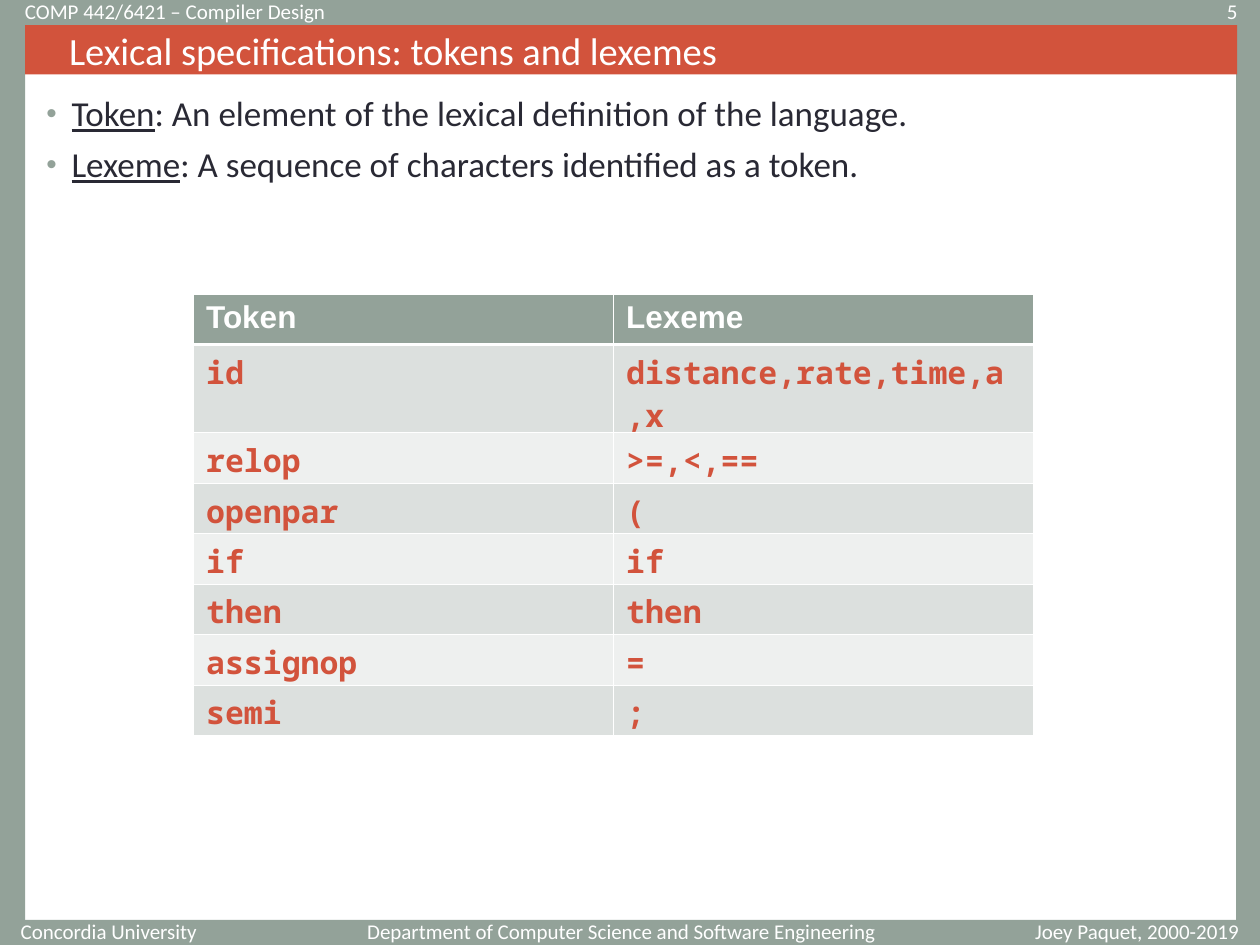
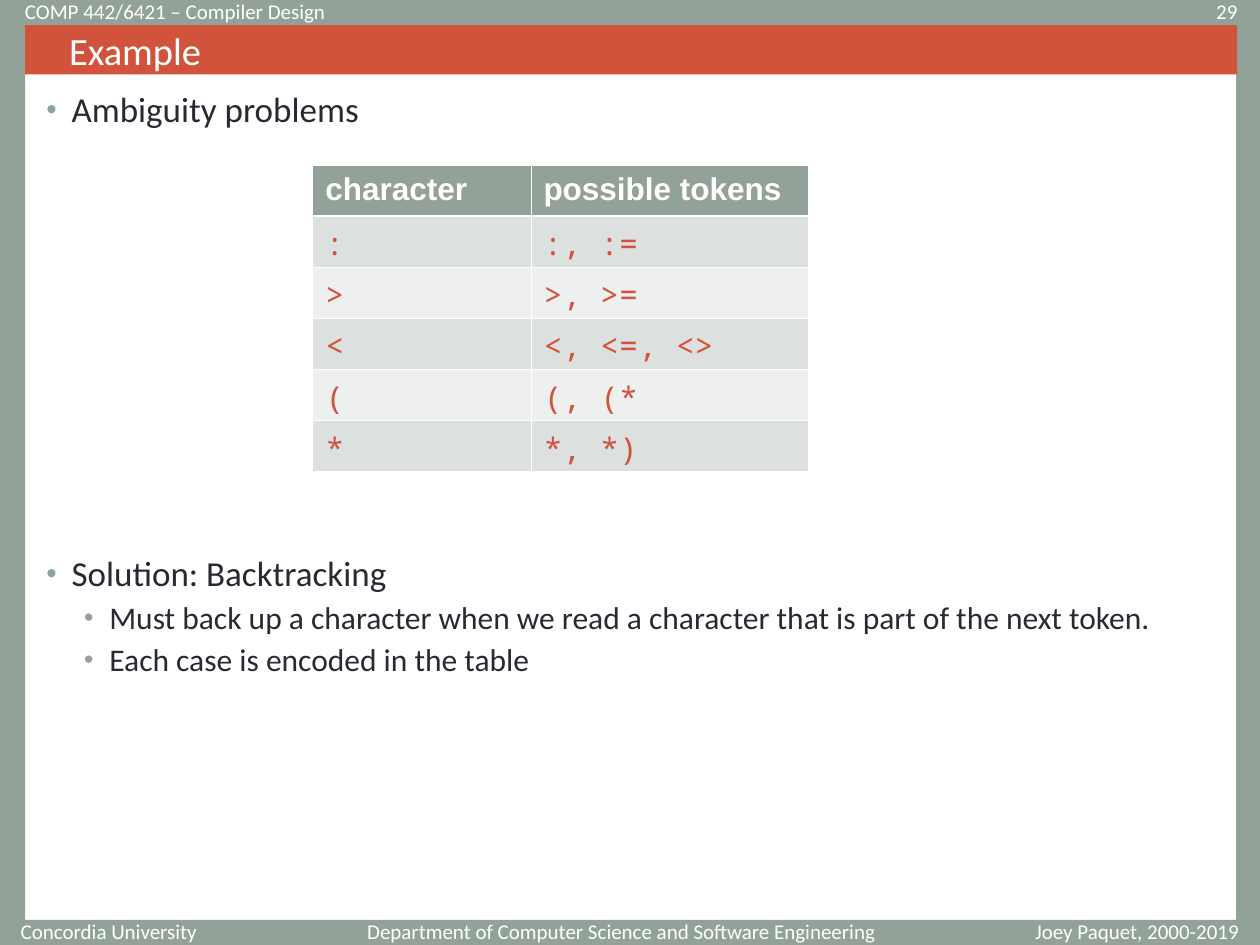
from dataclasses import dataclass

from lxml import etree
from pptx import Presentation
from pptx.dml.color import RGBColor
from pptx.enum.shapes import MSO_SHAPE
from pptx.enum.text import MSO_ANCHOR, PP_ALIGN
from pptx.oxml.ns import qn
from pptx.slide import Slide
from pptx.util import Pt

RECT = MSO_SHAPE.RECTANGLE
MIDDLE = MSO_ANCHOR.MIDDLE
LEFT, CENTER, RIGHT = PP_ALIGN.LEFT, PP_ALIGN.CENTER, PP_ALIGN.RIGHT
BLANK = 6


@dataclass(frozen=True)
class Theme:
    sage: str = "93A299"
    brick: str = "D2533C"
    ink: str = "292934"
    white: str = "FFFFFF"
    stripes: tuple[str, str] = ("DCE0DE", "EEF0EF")
    sans: str = "Calibri"
    head: str = "Arial"
    mono: str = "Noto Sans Mono"
    title: float = 22
    levels: tuple[float, float] = (20, 18)
    cell: float = 18
    small: float = 12
    thin: float = 0.45
    thick: float = 1.47


THEME = Theme()


@dataclass(frozen=True)
class Box:
    left: float
    top: float
    width: float
    height: float

    def place(self) -> tuple[Pt, Pt, Pt, Pt]:
        return Pt(self.left), Pt(self.top), Pt(self.width), Pt(self.height)


@dataclass(frozen=True)
class Label:
    text: str
    box: Box
    align: PP_ALIGN


@dataclass(frozen=True)
class Point:
    text: str
    term: str = ""
    level: int = 0
    before: float = 5


@dataclass(frozen=True)
class Grid:
    left: float
    top: float
    widths: tuple[float, ...]
    heights: tuple[float, ...]
    rows: tuple[tuple[str, ...], ...]
    bold: bool


@dataclass(frozen=True)
class Page:
    number: int
    title: str
    points: tuple[Point, ...]
    grid: Grid
    spacing: float = 1


BANDS = (
    Box(0, 0, 720, 14.4),
    Box(0, 525.6, 720, 14.4),
    Box(0, 0, 14.4, 535.7),
    Box(706.3, 13, 13.7, 527),
)
TITLE = Box(14.4, 14.4, 692.6, 28.1)
BODY = Box(19.4, 49, 680.4, 470.9)
NUMBER = Box(630, 2.2, 84.2, 8.6)
LABELS = (
    Label("Concordia University ", Box(2.2, 527.8, 120.2, 8.6), RIGHT),
    Label("Department of Computer Science and Software Engineering",
          Box(201.6, 527.8, 306, 8.6), RIGHT),
    Label("Joey Paquet, 2000-2019", Box(575.3, 527.8, 149, 8.6), CENTER),
    Label("COMP 442/6421 – Compiler Design", Box(7.2, 2.2, 403.2, 8.6), LEFT),
)

PAGES = (
    Page(
        5,
        "Lexical specifications: tokens and lexemes",
        (
            Point(": An element of the lexical definition of the language.", "Token", before=0),
            Point(": A sequence of characters identified as a token.", "Lexeme"),
        ),
        Grid(
            110.6, 168, (240, 240), (27, 49) + (28.1,) * 6,
            (
                ("Token", "Lexeme"),
                ("id", "distance,rate,time,a,x"),
                ("relop", ">=,<,=="),
                ("openpar", "("),
                ("if", "if"),
                ("then", "then"),
                ("assignop", "="),
                ("semi", ";"),
            ),
            True,
        ),
    ),
    Page(
        29,
        "Example",
        (
            Point("Ambiguity problems", before=0),
            Point("Solution: Backtracking", before=243.7),
            Point("Must back up a character when we read a character that is part of "
                  "the next token.", level=1, before=4.5),
            Point("Each case is encoded in the table", level=1, before=4.5),
        ),
        Grid(
            178.7, 94.5, (124.7, 158.6), (28.6,) + (29.2,) * 5,
            (
                ("character", "possible tokens"),
                (":", ":, :="),
                (">", ">, >="),
                ("<", "<, <=, <>"),
                ("(", "(, (*"),
                ("*", "*, *)"),
            ),
            False,
        ),
        0.9,
    ),
)


def style(run, face: str, size: float, tint: str, bold: bool = False) -> None:
    font = run.font
    font.name, font.size, font.bold = face, Pt(size), bold
    font.color.rgb = RGBColor.from_string(tint)


def add_block(slide: Slide, box: Box, tint: str):
    shape = slide.shapes.add_shape(RECT, *box.place())
    shape.shadow.inherit = False
    shape.fill.solid()
    shape.fill.fore_color.rgb = RGBColor.from_string(tint)
    shape.line.fill.background()
    return shape


def add_label(slide: Slide, label: Label) -> None:
    frame = slide.shapes.add_textbox(*label.box.place()).text_frame
    frame.word_wrap = True
    frame.vertical_anchor = MIDDLE
    frame.text = label.text
    para = frame.paragraphs[0]
    para.alignment = label.align
    style(para.runs[0], THEME.sans, THEME.small, THEME.white)


def add_title(slide: Slide, text: str) -> None:
    frame = add_block(slide, TITLE, THEME.brick).text_frame
    frame.word_wrap = True
    frame.vertical_anchor = MIDDLE
    frame.text = text
    para = frame.paragraphs[0]
    para.alignment = LEFT
    para._p.get_or_add_pPr().set("marL", str(Pt(18)))
    style(para.runs[0], THEME.sans, THEME.title, THEME.white)


def add_bullet(para, level: int) -> None:
    props = para._p.get_or_add_pPr()
    props.set("marL", str(Pt(14.4 + 21.6 * level)))
    props.set("indent", str(-Pt(14.4)))
    tint = etree.SubElement(props, qn("a:buClr"))
    etree.SubElement(tint, qn("a:srgbClr"), val=THEME.sage)
    etree.SubElement(props, qn("a:buSzPct"), val="85000")
    etree.SubElement(props, qn("a:buFont"), typeface=THEME.head)
    etree.SubElement(props, qn("a:buChar"), char="•")


def add_points(slide: Slide, page: Page) -> None:
    frame = slide.shapes.add_textbox(*BODY.place()).text_frame
    frame.word_wrap = True
    for order, point in enumerate(page.points):
        para = frame.add_paragraph() if order else frame.paragraphs[0]
        add_bullet(para, point.level)
        para.level = point.level
        para.line_spacing = page.spacing
        para.space_before = Pt(point.before)
        for text in filter(None, (point.term, point.text)):
            run = para.add_run()
            run.text = text
            style(run, THEME.sans, THEME.levels[point.level], THEME.ink)
            run.font.underline = text == point.term


def add_edge(cell, side: str, width: float) -> None:
    props = cell._tc.get_or_add_tcPr()
    line = etree.SubElement(props, qn(f"a:ln{side}"), w=str(Pt(width)))
    fill = etree.SubElement(line, qn("a:solidFill"))
    etree.SubElement(fill, qn("a:srgbClr"), val=THEME.white)


def add_grid(slide: Slide, grid: Grid) -> None:
    box = Box(grid.left, grid.top, sum(grid.widths), sum(grid.heights))
    table = slide.shapes.add_table(len(grid.rows), len(grid.widths), *box.place()).table
    for column, width in zip(table.columns, grid.widths):
        column.width = Pt(width)
    for row, height in zip(table.rows, grid.heights):
        row.height = Pt(height)
    for down, texts in enumerate(grid.rows):
        heavy = {0: "B", 1: "T"}.get(down)
        for across, text in enumerate(texts):
            cell = table.cell(down, across)
            for side in "LRTB":
                add_edge(cell, side, THEME.thick if side == heavy else THEME.thin)
            tint = THEME.stripes[(down - 1) % 2] if down else THEME.sage
            cell.fill.solid()
            cell.fill.fore_color.rgb = RGBColor.from_string(tint)
            cell.text_frame.text = text
            run = cell.text_frame.paragraphs[0].runs[0]
            if down:
                style(run, THEME.mono, THEME.cell, THEME.brick, grid.bold)
            else:
                style(run, THEME.head, THEME.cell, THEME.white, True)


def add_page(deck, page: Page) -> None:
    slide = deck.slides.add_slide(deck.slide_layouts[BLANK])
    for band in BANDS:
        add_block(slide, band, THEME.sage)
    add_points(slide, page)
    add_title(slide, page.title)
    for label in (*LABELS, Label(str(page.number), NUMBER, RIGHT)):
        add_label(slide, label)
    add_grid(slide, page.grid)


def main() -> None:
    deck = Presentation()
    deck.slide_width, deck.slide_height = Pt(720), Pt(540)
    for page in PAGES:
        add_page(deck, page)
    deck.save("out.pptx")


if __name__ == "__main__":
    main()
